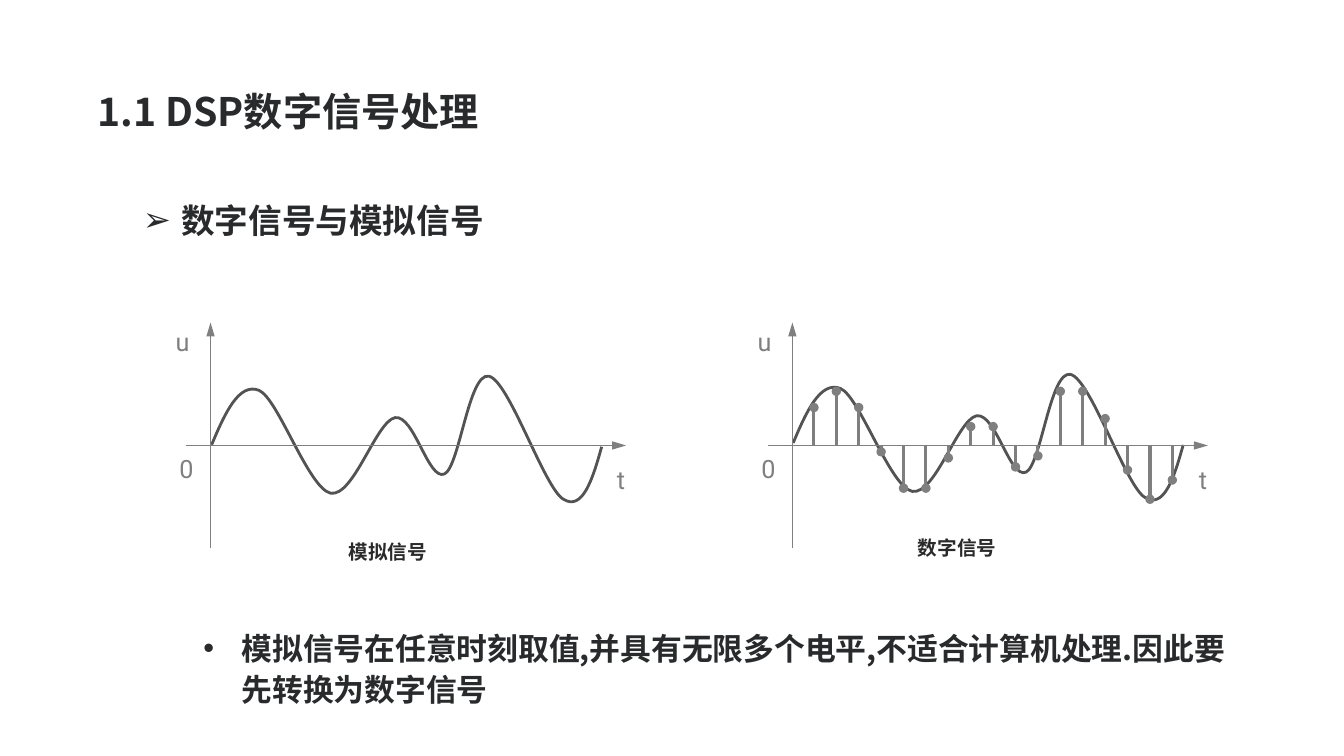
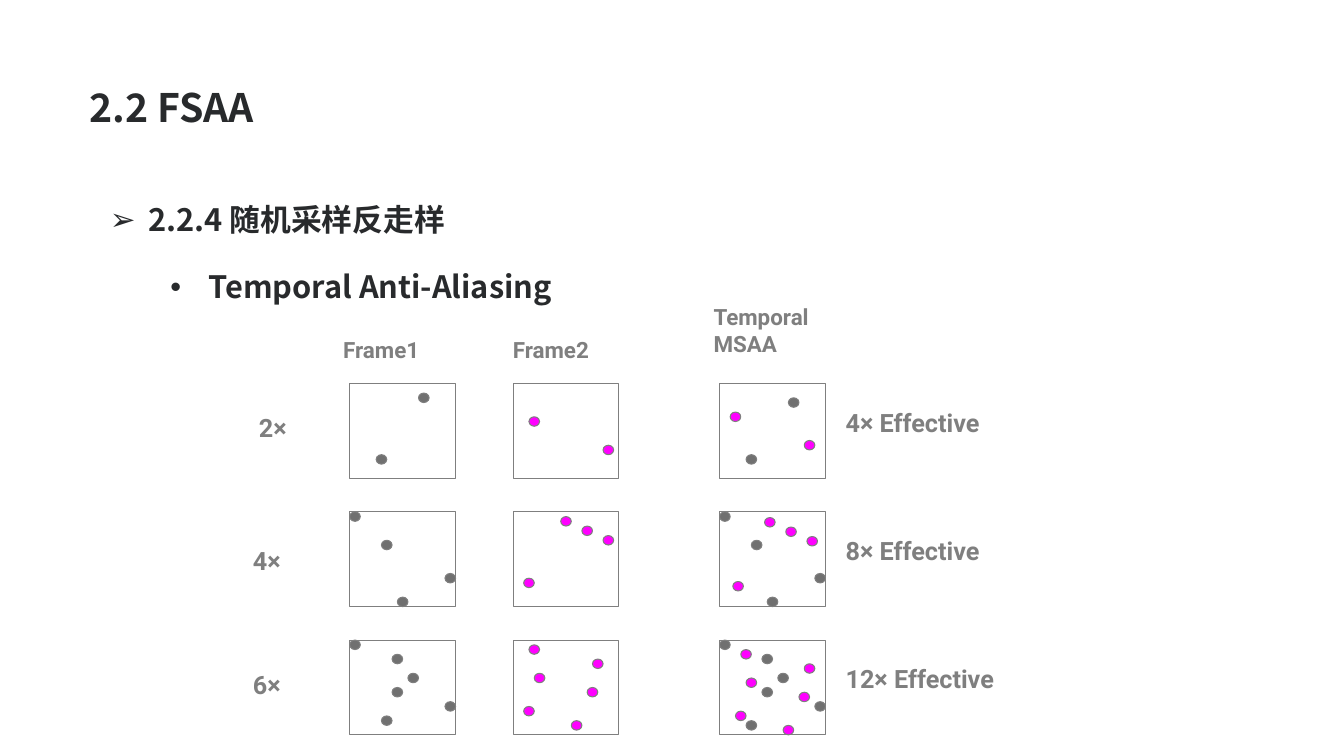
from dataclasses import dataclass

from lxml import etree
from pptx import Presentation
from pptx import util as u
from pptx.dml import color
from pptx.enum import shapes, text
from pptx.oxml import ns


@dataclass(frozen=True)
class Theme:
    heading_font: str = "Noto Sans CJK SC"
    label_font: str = "Roboto"
    ink: str = "282A2C"
    caption_ink: str = "2A2A2A"
    gray: str = "7F7F7F"
    curve: str = "535353"
    first_frame: str = "707070"
    second_frame: str = "FF00FF"
    title_size: float = 28
    topic_size: float = 24
    bullet_size: float = 22
    label_size: float = 18
    header_size: float = 16
    caption_size: float = 14
    thin: float = 0.75
    medium: float = 2
    thick: float = 2.25


THEME = Theme()
TOPIC = ("➢", 56.2)
DETAIL = ("•", 99.4)
HANGING = 27.4
ARROW = {"type": "triangle", "len": "lg"}
KNOB = {"type": "oval"}

WAVE = [
    ((9.4, -22.3), (19.4, -44.6), (33.8, -38.9)),
    ((47.5, -33.1), (69.1, 31), (85, 34.6)),
    ((101.5, 37.4), (117.4, -16.6), (131, -19.4)),
    ((144.7, -21.6), (154.8, 25.9), (166.3, 20.9)),
    ((177.1, 15.8), (183.6, -51.8), (198, -49)),
    ((212.4, -46.1), (237.6, 31), (251.3, 38.9)),
    ((265, 47.5), (272.2, 24.5), (278.6, 1.4)),
]
SAMPLES = [26.6, 38.2, 26.6, -5, -31, -31, -9.4, 13, 13,
           -15.8, -7.9, 38.2, 38.2, 18.7, -18, -38.9, -25.2]
SAMPLE_STEP = 16

CELL_WIDTH, CELL_HEIGHT = 75.6, 67.7
CELL_UNITS = 20
DOT_UNITS = 2
COLUMNS = (249.8, 366.5, 514)
GRID_TOP, ROW_STEP = 274, 91.6

SAMPLE_ROWS = [
    ("2×", (177.8, 290.9), "4× Effective",
     [(13, 2), (5, 15)],
     [(3, 7), (17, 13)],
     [(13, 3), (5, 15)],
     [(2, 6), (16, 12)]),
    ("4×", (173.5, 386), "8× Effective",
     [(18, 13), (6, 6), (0, 0), (9, 18)],
     [(9, 1), (17, 5), (13, 3), (2, 14)],
     [(18, 13), (6, 6), (0, 0), (9, 18)],
     [(8.5, 1.2), (16.5, 5.2), (12.5, 3.2), (2.5, 14.7)]),
    ("6×", (173.5, 474.5), "12× Effective",
     [(18, 13), (8, 10), (0, 0), (6, 16), (11, 7), (8, 3)],
     [(3, 1), (14, 10), (15, 4), (2, 14), (11, 17), (4, 7)],
     [(18, 13), (8, 10), (0, 0), (5, 17), (11, 7), (8, 3)],
     [(4, 2), (15, 11), (16, 5), (3, 15), (12, 18), (5, 8)]),
]


def rgb(value):
    return color.RGBColor.from_string(value)


def format_runs(paragraph, font_name, size, ink, bold):
    for run in paragraph.runs:
        run.font.name = font_name
        run.font.size = u.Pt(size)
        run.font.bold = bold
        run.font.color.rgb = rgb(ink)
        east_asian = etree.SubElement(run._r.get_or_add_rPr(), ns.qn("a:ea"))
        east_asian.set("typeface", THEME.heading_font)


def add_text_frame(slide, left, top, width, height, side_inset=7.2, end_inset=3.6):
    text_frame = slide.shapes.add_textbox(
        u.Pt(left), u.Pt(top), u.Pt(width), u.Pt(height)).text_frame
    text_frame.word_wrap = True
    text_frame.margin_left = text_frame.margin_right = u.Pt(side_inset)
    text_frame.margin_top = text_frame.margin_bottom = u.Pt(end_inset)
    return text_frame


def add_title(slide, title, left, top, width):
    text_frame = add_text_frame(slide, left, top, width, 104.4, 3.6)
    text_frame.vertical_anchor = text.MSO_ANCHOR.MIDDLE
    text_frame.text = title
    paragraph = text_frame.paragraphs[0]
    paragraph.line_spacing = 0.9
    format_runs(paragraph, THEME.heading_font, THEME.title_size, THEME.ink, True)


def add_label(slide, label, left, top, width, size=THEME.label_size,
              ink=THEME.gray, bold=True, lines=1):
    text_frame = add_text_frame(slide, left, top, width, 7.2 + 1.25 * size * lines)
    text_frame.text = label
    format_runs(text_frame.paragraphs[0], THEME.label_font, size, ink, bold)


def set_bullet(paragraph, level):
    mark, indent = level
    properties = paragraph._p.get_or_add_pPr()
    properties.set("marL", str(u.Pt(indent)))
    properties.set("indent", str(u.Pt(-HANGING)))
    etree.SubElement(properties, ns.qn("a:buFont")).set("typeface", "Arial")
    etree.SubElement(properties, ns.qn("a:buChar")).set("char", mark)


def add_bullets(slide, left, top, width, height, entries):
    text_frame = add_text_frame(slide, left, top, width, height, 7.2, 7.2)
    for index, (level, wording, size, spacing, before) in enumerate(entries):
        paragraph = text_frame.add_paragraph() if index else text_frame.paragraphs[0]
        paragraph.text = wording
        set_bullet(paragraph, level)
        paragraph.line_spacing = spacing
        paragraph.space_before = u.Pt(before)
        format_runs(paragraph, THEME.heading_font, size, THEME.ink, True)


def add_line(slide, start, end, width, tail):
    connector = slide.shapes.add_connector(
        shapes.MSO_CONNECTOR.STRAIGHT, *map(u.Pt, (*start, *end)))
    connector.line.color.rgb = rgb(THEME.gray)
    connector.line.width = u.Pt(width)
    properties = connector.element.spPr
    outline = properties.find(ns.qn("a:ln"))
    etree.SubElement(outline, ns.qn("a:tailEnd"), tail)
    etree.SubElement(properties, ns.qn("a:effectLst"))


def add_figure(slide, kind, left, top, width, height, fill=None):
    shape = slide.shapes.add_shape(
        kind, u.Pt(left), u.Pt(top), u.Pt(width), u.Pt(height))
    shape.shadow.inherit = False
    if fill:
        shape.fill.solid()
        shape.fill.fore_color.rgb = rgb(fill)
    else:
        shape.fill.background()
    shape.line.color.rgb = rgb(THEME.gray)
    shape.line.width = u.Pt(THEME.thin)


def bend_segments(shape, left, top):
    straight_segments = list(shape.element.spPr.iter(ns.qn("a:lnTo")))
    for straight, controls in zip(straight_segments, WAVE):
        curved = etree.Element(ns.qn("a:cubicBezTo"))
        for x, y in controls:
            point = etree.SubElement(curved, ns.qn("a:pt"))
            point.set("x", str(u.Pt(left + x) - shape.left))
            point.set("y", str(u.Pt(top + y) - shape.top))
        straight.getparent().replace(straight, curved)


def add_wave(slide, left, top):
    builder = slide.shapes.build_freeform(u.Pt(left), u.Pt(top))
    anchors = [controls[-1] for controls in WAVE]
    builder.add_line_segments(
        [(u.Pt(left + x), u.Pt(top + y)) for x, y in anchors], close=False)
    shape = builder.convert_to_shape()
    bend_segments(shape, left, top)
    shape.shadow.inherit = False
    shape.fill.background()
    shape.line.color.rgb = rgb(THEME.curve)
    shape.line.width = u.Pt(THEME.medium)


def add_axes(slide, left, top):
    add_line(slide, (left, top + 73.5), (left, top - 87.8), THEME.thin, ARROW)
    add_line(slide, (left - 17.6, top), (left + 296.8, top), THEME.thin, ARROW)
    for label, across, down in (("0", -29.3, 2.4), ("t", 283.2, 10.1), ("u", -32, -88.5)):
        add_label(slide, label, left + across, top + down, 27.4, bold=False)


def add_samples(slide, left, baseline):
    for index, level in enumerate(SAMPLES):
        x = left + index * SAMPLE_STEP
        add_line(slide, (x, baseline), (x, baseline - level), THEME.thick, KNOB)


def add_sample_cell(slide, left, top, first_dots, second_dots):
    add_figure(slide, shapes.MSO_SHAPE.RECTANGLE, left, top, CELL_WIDTH, CELL_HEIGHT)
    unit_x, unit_y = CELL_WIDTH / CELL_UNITS, CELL_HEIGHT / CELL_UNITS
    for dots, fill in ((first_dots, THEME.first_frame), (second_dots, THEME.second_frame)):
        for x, y in dots:
            add_figure(slide, shapes.MSO_SHAPE.OVAL, left + x * unit_x, top + y * unit_y,
                       DOT_UNITS * unit_x, DOT_UNITS * unit_y, fill)


def build_signal_slide(slide):
    add_title(slide, "1.1 DSP数字信号处理", 66.2, 28.8, 828)
    add_bullets(slide, 66.2, 129.6, 816, 50, [
        (TOPIC, "数字信号与模拟信号", THEME.topic_size, 1.2, 0)])
    add_wave(slide, 151.2, 317.7)
    add_wave(slide, 566.6, 316.4)
    for left in (150.4, 566):
        add_axes(slide, left, 318.2)
    add_samples(slide, 581.4, 317.7)
    for caption, left, top in (("模拟信号", 242, 382), ("数字信号", 648.5, 379.4)):
        add_label(slide, caption, left, top, 185, THEME.caption_size, THEME.caption_ink)
    add_bullets(slide, 66.2, 440, 816, 80, [
        (DETAIL, "模拟信号在任意时刻取值,并具有无限多个电平,不适合计算机处理.因此要先转换为数字信号",
         THEME.bullet_size, 1.1, 0)])


def build_sampling_slide(slide):
    add_title(slide, "2.2 FSAA", 60.5, 25.9, 402.5)
    add_bullets(slide, 42.6, 133.9, 902, 100, [
        (TOPIC, "2.2.4 随机采样反走样", THEME.bullet_size, 1.1, 0),
        (DETAIL, "Temporal Anti-Aliasing", THEME.bullet_size, 0.9, 24)])
    for header, left, top, lines in (("Frame1", 238.1, 236.9, 1), ("Frame2", 359.3, 236.9, 1),
                                     ("Temporal MSAA", 502.6, 213.1, 2)):
        add_label(slide, header, left, top, 117, THEME.header_size, lines=lines)
    for index, (rate, rate_place, effect, first, second, mixed_first,
                mixed_second) in enumerate(SAMPLE_ROWS):
        top = GRID_TOP + index * ROW_STEP
        cells = ((first, ()), ((), second), (mixed_first, mixed_second))
        for left, dots in zip(COLUMNS, cells):
            add_sample_cell(slide, left, top, *dots)
        add_label(slide, rate, *rate_place, 62)
        add_label(slide, effect, 596.9, top + 13.4, 193)


def main():
    presentation = Presentation()
    presentation.slide_width = u.Pt(960)
    presentation.slide_height = u.Pt(540)
    for build in (build_signal_slide, build_sampling_slide):
        build(presentation.slides.add_slide(presentation.slide_layouts[6]))
    presentation.save("out.pptx")


if __name__ == "__main__":
    main()
